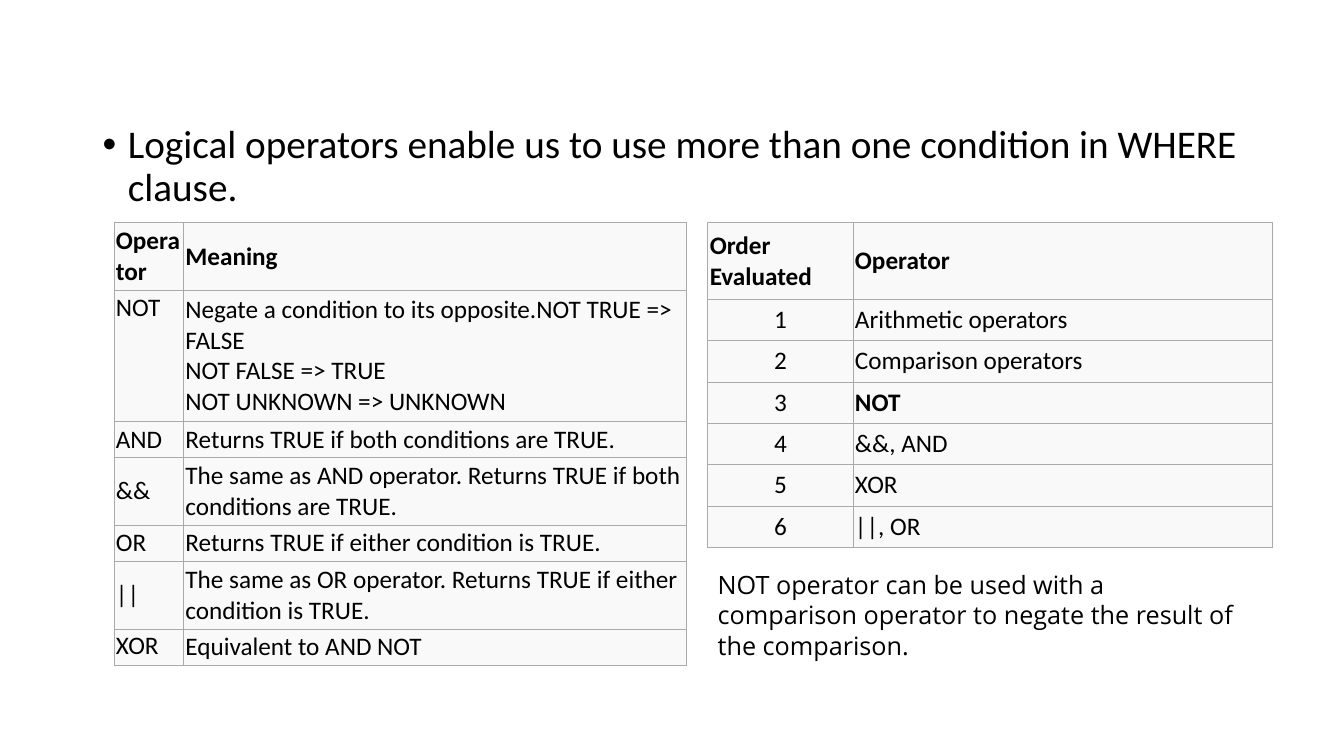
"""Build the slide on logical operators in a WHERE clause."""
from lxml import etree
from pptx import Presentation, util as u
from pptx.dml.color import RGBColor
from pptx.enum import text
from pptx.oxml import ns

INK, CELL, RULE = "000000", "F9F9F9", "AAAAAA"
BODY_FONT, NOTE_FONT = "Calibri", "Open Sans"
CELL_INSET = 0.02

INTRO = "Logical operators enable us to use more than one condition in WHERE clause."
NOTE = ("NOT operator can be used with a comparison operator "
        "to negate the result of the comparison.")

MEANINGS = {
    "at": (1.13, 2.21),
    "cols": (0.69, 4.99),
    "rows": (0.67, 1.3, 0.36, 0.67, 0.36, 0.67, 0.36),
    "cells": [
        ("Operator", "Meaning"),
        ("NOT", "Negate a condition to its opposite.NOT TRUE => FALSE\n"
                "NOT FALSE => TRUE\nNOT UNKNOWN => UNKNOWN"),
        ("AND", "Returns TRUE if both conditions are TRUE."),
        ("&&", "The same as AND operator. Returns TRUE if both conditions are TRUE."),
        ("OR", "Returns TRUE if either condition is TRUE."),
        ("||", "The same as OR operator. Returns TRUE if either condition is TRUE."),
        ("XOR", "Equivalent to AND NOT"),
    ],
    "bold": {(0, 0), (0, 1)},
    "top": {(1, 0), (6, 0)},
    "centred": set(),
}
PRECEDENCE = {
    "at": (7.02, 2.21),
    "cols": (1.44, 4.16),
    "rows": (0.76,) + (0.41,) * 6,
    "cells": [
        ("Order Evaluated", "Operator"),
        ("1", "Arithmetic operators"),
        ("2", "Comparison operators"),
        ("3", "NOT"),
        ("4", "&&, AND"),
        ("5", "XOR"),
        ("6", "||, OR"),
    ],
    "bold": {(0, 0), (0, 1), (3, 1)},
    "top": set(),
    "centred": {(row, 0) for row in range(1, 7)},
}


def colour(value):
    return RGBColor.from_string(value)


def write(paragraph, words, size=18, font=BODY_FONT, bold=False):
    run = paragraph.add_run()
    run.text = words
    run.font.size = u.Pt(size)
    run.font.name = font
    run.font.bold = bold
    run.font.color.rgb = colour(INK)


def add_words(slide, box, words, size, font):
    frame = slide.shapes.add_textbox(*map(u.Inches, box)).text_frame
    frame.word_wrap = True
    write(frame.paragraphs[0], words, size, font)
    return frame.paragraphs[0]


def add_bullet(paragraph):
    paragraph.line_spacing = 0.9
    paragraph.space_before = u.Pt(10)
    props = paragraph._p.get_or_add_pPr()
    props.set("marL", str(u.Inches(0.25)))
    props.set("indent", str(-u.Inches(0.25)))
    etree.SubElement(props, ns.qn("a:buFont"), typeface="Arial")
    etree.SubElement(props, ns.qn("a:buChar"), char="•")


def add_borders(cell):
    props = cell._tc.get_or_add_tcPr()
    for place, side in enumerate(("lnL", "lnR", "lnT", "lnB")):
        line = etree.Element(ns.qn(f"a:{side}"), w=str(u.Pt(0.5)))
        fill = etree.SubElement(line, ns.qn("a:solidFill"))
        etree.SubElement(fill, ns.qn("a:srgbClr"), val=RULE)
        props.insert(place, line)


def add_grid(slide, grid):
    cols, rows = grid["cols"], grid["rows"]
    box = (*grid["at"], sum(cols), sum(rows))
    table = slide.shapes.add_table(len(rows), len(cols), *map(u.Inches, box)).table
    for column, width in zip(table.columns, cols):
        column.width = u.Inches(width)
    for row, height in zip(table.rows, rows):
        row.height = u.Inches(height)
    for r, entries in enumerate(grid["cells"]):
        for c, entry in enumerate(entries):
            fill_cell(table.cell(r, c), entry, grid, (r, c))


def fill_cell(cell, entry, grid, spot):
    cell.margin_left = cell.margin_right = u.Inches(CELL_INSET)
    cell.margin_top = cell.margin_bottom = u.Inches(CELL_INSET)
    anchor = text.MSO_ANCHOR
    cell.vertical_anchor = anchor.TOP if spot in grid["top"] else anchor.MIDDLE
    cell.fill.solid()
    cell.fill.fore_color.rgb = colour(CELL)
    add_borders(cell)
    frame = cell.text_frame
    for i, words in enumerate(entry.split("\n")):
        paragraph = frame.add_paragraph() if i else frame.paragraphs[0]
        if spot in grid["centred"]:
            paragraph.alignment = text.PP_ALIGN.CENTER
        write(paragraph, words, bold=spot in grid["bold"])


def main():
    deck = Presentation()
    deck.slide_width, deck.slide_height = u.Inches(13.33), u.Inches(7.5)
    slide = deck.slides.add_slide(deck.slide_layouts[6])
    add_bullet(add_words(slide, (0.92, 1.19, 11.5, 6.19), INTRO, 28, BODY_FONT))
    for grid in (MEANINGS, PRECEDENCE):
        add_grid(slide, grid)
    add_words(slide, (7.02, 5.6, 5.39, 1.01), NOTE, 18, NOTE_FONT)
    deck.save("out.pptx")


if __name__ == "__main__":
    main()
